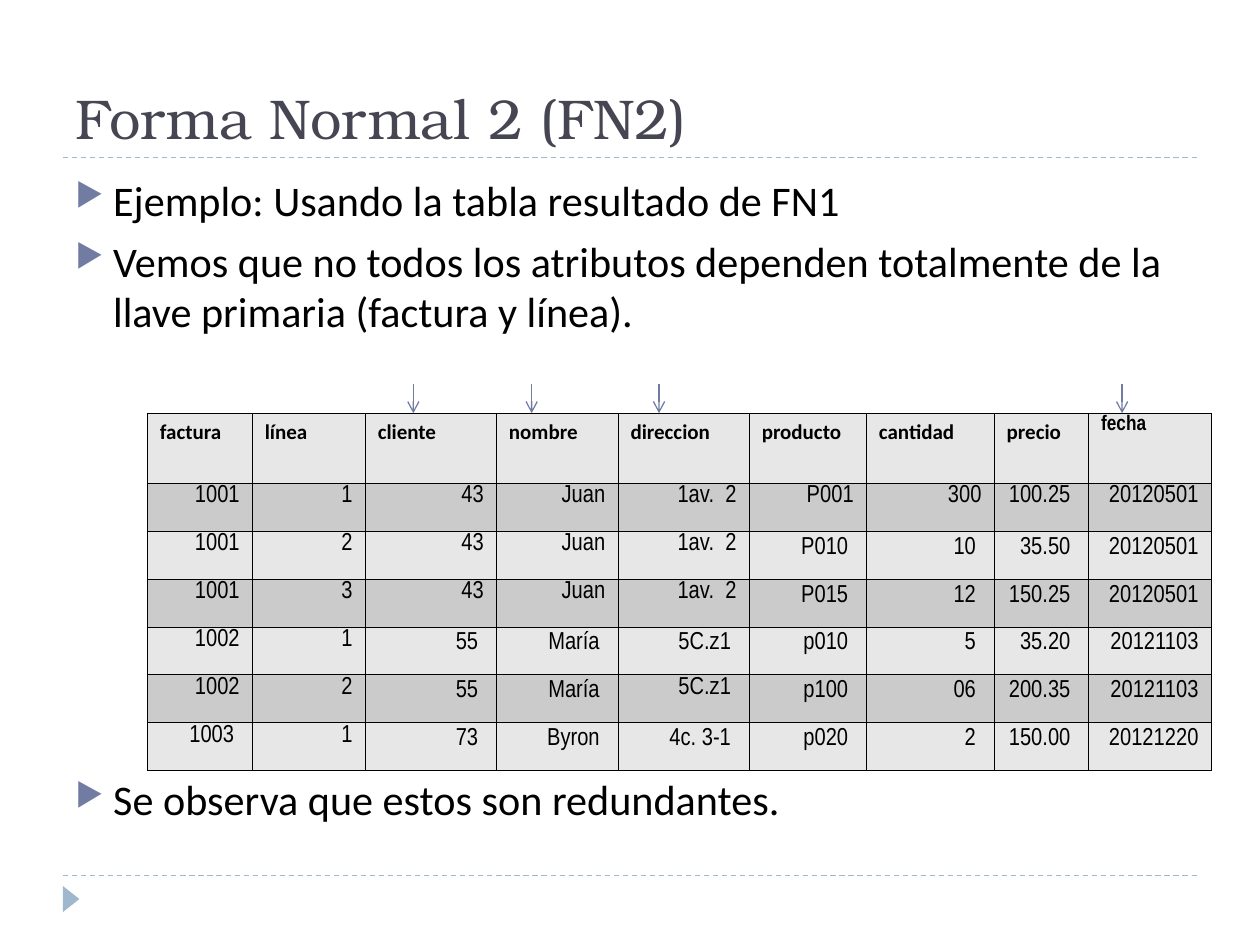
"""Build the second normal form slide with its example table."""
from lxml import etree
from pptx import Presentation
from pptx import util as u
from pptx.dml.color import RGBColor
from pptx.enum import dml, shapes, text
from pptx.oxml import ns

BLACK = RGBColor(0x00, 0x00, 0x00)
SLATE = RGBColor(0x46, 0x46, 0x53)
VIOLET = RGBColor(0x72, 0x7C, 0xA3)
PALE_BLUE = RGBColor(0x9F, 0xB8, 0xCD)
LIGHT_GREY = RGBColor(0xE7, 0xE7, 0xE7)
MID_GREY = RGBColor(0xCB, 0xCB, 0xCB)

HEADERS = ["factura", "línea", "cliente", "nombre", "direccion",
           "producto", "cantidad", "precio", "fecha"]
ROWS = [
    HEADERS,
    ["1001", "1", "43", "Juan", "1av.  2", "P001", "300", "100.25 ", "20120501"],
    ["1001", "2", "43", "Juan", "1av.  2", "P010 ", "10 ", "35.50 ", "20120501"],
    ["1001", "3", "43", "Juan", "1av.  2", "P015 ", "12 ", "150.25 ", "20120501"],
    ["1002", "1", "55 ", "María ", "5C.z1 ", "p010 ", "5 ", "35.20 ", "20121103"],
    ["1002", "2", "55 ", "María ", "5C.z1 ", "p100 ", "06 ", "200.35 ", "20121103"],
    ["1003 ", "1", "73 ", "Byron ", "4c. 3-1 ", "p020 ", "2 ", "150.00 ", "20121220"],
]
COLUMN_WIDTHS = [60, 64.5, 75, 69.5, 75, 67, 73, 54, 70]
HEADER_HEIGHT, ROW_HEIGHT = 40, 27.4
TABLE_LEFT, TABLE_TOP = 84.2, 236.1


def write(frame, content, font="Calibri", size=24.1, color=BLACK, bold=False,
          align=text.PP_ALIGN.LEFT, line_spacing=None, before=None, after=None, bullet=False):
    paragraph = frame.paragraphs[0]
    if paragraph.runs:
        paragraph = frame.add_paragraph()
    paragraph.alignment = align
    paragraph.line_spacing = line_spacing
    paragraph.space_before = before
    paragraph.space_after = after
    if bullet:
        properties = paragraph._p.get_or_add_pPr()
        properties.set("marL", str(u.Pt(21.6)))
        properties.set("indent", str(-u.Pt(21.6)))
        bullet_color = etree.SubElement(properties, ns.qn("a:buClr"))
        etree.SubElement(bullet_color, ns.qn("a:srgbClr"), val=str(VIOLET))
        etree.SubElement(properties, ns.qn("a:buSzPct"), val="76000")
        etree.SubElement(properties, ns.qn("a:buChar"), char="▶")
    run = paragraph.add_run()
    run.text = content
    run.font.name = font
    run.font.size = u.Pt(size)
    run.font.bold = bold
    run.font.color.rgb = color


def add_line(start_x, start_y, end_x, end_y, color):
    connector = slide.shapes.add_connector(
        shapes.MSO_CONNECTOR.STRAIGHT, u.Pt(start_x), u.Pt(start_y), u.Pt(end_x), u.Pt(end_y))
    connector.line.color.rgb = color
    connector.line.width = u.Pt(0.75)
    etree.SubElement(connector._element.spPr, ns.qn("a:effectLst"))
    return connector


presentation = Presentation()
presentation.slide_width = u.Pt(720)
presentation.slide_height = u.Pt(540)
slide = presentation.slides.add_slide(presentation.slide_layouts[5])

for rule_y in (500.4, 90):
    rule = add_line(36, rule_y, 684, rule_y, PALE_BLUE)
    rule.line.dash_style = dml.MSO_LINE.DASH

marker = slide.shapes.add_shape(
    shapes.MSO_SHAPE.ISOSCELES_TRIANGLE, u.Pt(33.1), u.Pt(509), u.Pt(15), u.Pt(9.5))
marker.rotation = 90
marker.shadow.inherit = False
marker.fill.solid()
marker.fill.fore_color.rgb = PALE_BLUE
marker.line.fill.background()

title = slide.shapes.title
title.left, title.top, title.width, title.height = u.Pt(36), u.Pt(12.2), u.Pt(648), u.Pt(77.8)
title.text_frame.vertical_anchor = text.MSO_ANCHOR.BOTTOM
title.text_frame.auto_size = text.MSO_AUTO_SIZE.NONE
write(title.text_frame, "Forma Normal 2 (FN2)", font="TeX Gyre Bonum", size=32, color=SLATE)

bullet_boxes = [
    (95.8, 110, ["Ejemplo: Usando la tabla resultado de FN1",
                 "Vemos que no todos los atributos dependen totalmente de la "
                 "llave primaria (factura y línea)."]),
    (438.5, 40, ["Se observa que estos son redundantes."]),
]
for top, height, sentences in bullet_boxes:
    box = slide.shapes.add_textbox(u.Pt(36), u.Pt(top), u.Pt(648), u.Pt(height))
    box.text_frame.word_wrap = True
    for index, sentence in enumerate(sentences):
        write(box.text_frame, sentence, before=u.Pt(6) if index else None, bullet=True)

table = slide.shapes.add_table(
    len(ROWS), len(HEADERS), u.Pt(TABLE_LEFT), u.Pt(TABLE_TOP), u.Pt(sum(COLUMN_WIDTHS)),
    u.Pt(HEADER_HEIGHT + ROW_HEIGHT * (len(ROWS) - 1))).table
table.first_row = table.horz_banding = False
for column, width in zip(table.columns, COLUMN_WIDTHS):
    column.width = u.Pt(width)

for row_index, values in enumerate(ROWS):
    is_header = row_index == 0
    table.rows[row_index].height = u.Pt(HEADER_HEIGHT if is_header else ROW_HEIGHT)
    for column_index, value in enumerate(values):
        cell = table.cell(row_index, column_index)
        for side in ("lnL", "lnR", "lnT", "lnB"):
            border = etree.SubElement(
                cell._tc.get_or_add_tcPr(), ns.qn("a:" + side), w=str(u.Pt(0.45)))
            border_fill = etree.SubElement(border, ns.qn("a:solidFill"))
            etree.SubElement(border_fill, ns.qn("a:srgbClr"), val=str(BLACK))
        cell.fill.solid()
        cell.fill.fore_color.rgb = MID_GREY if row_index % 2 else LIGHT_GREY
        is_calibri = is_header and value != "fecha"
        cell.margin_top = u.Pt(3.6 if is_calibri else 1)
        cell.margin_bottom = u.Pt(0)
        first_spaced = 2 if row_index >= 4 else 5
        spaced = (row_index >= 2 and column_index >= first_spaced
                  and (row_index, column_index) != (5, 4))
        write(cell.text_frame, value,
              font="Calibri" if is_calibri else "Arial Narrow",
              size=12 if is_header else 14, bold=is_header,
              align=text.PP_ALIGN.LEFT if is_header else text.PP_ALIGN.RIGHT,
              line_spacing=1.15 if spaced else None,
              after=u.Pt(10) if spaced else None)

for arrow_x in (236.2, 303.8, 376.6, 641.2):
    arrow = add_line(arrow_x, 219.6, arrow_x, TABLE_TOP, VIOLET)
    etree.SubElement(arrow.line._get_or_add_ln(), ns.qn("a:tailEnd"), type="arrow")

presentation.save("out.pptx")
